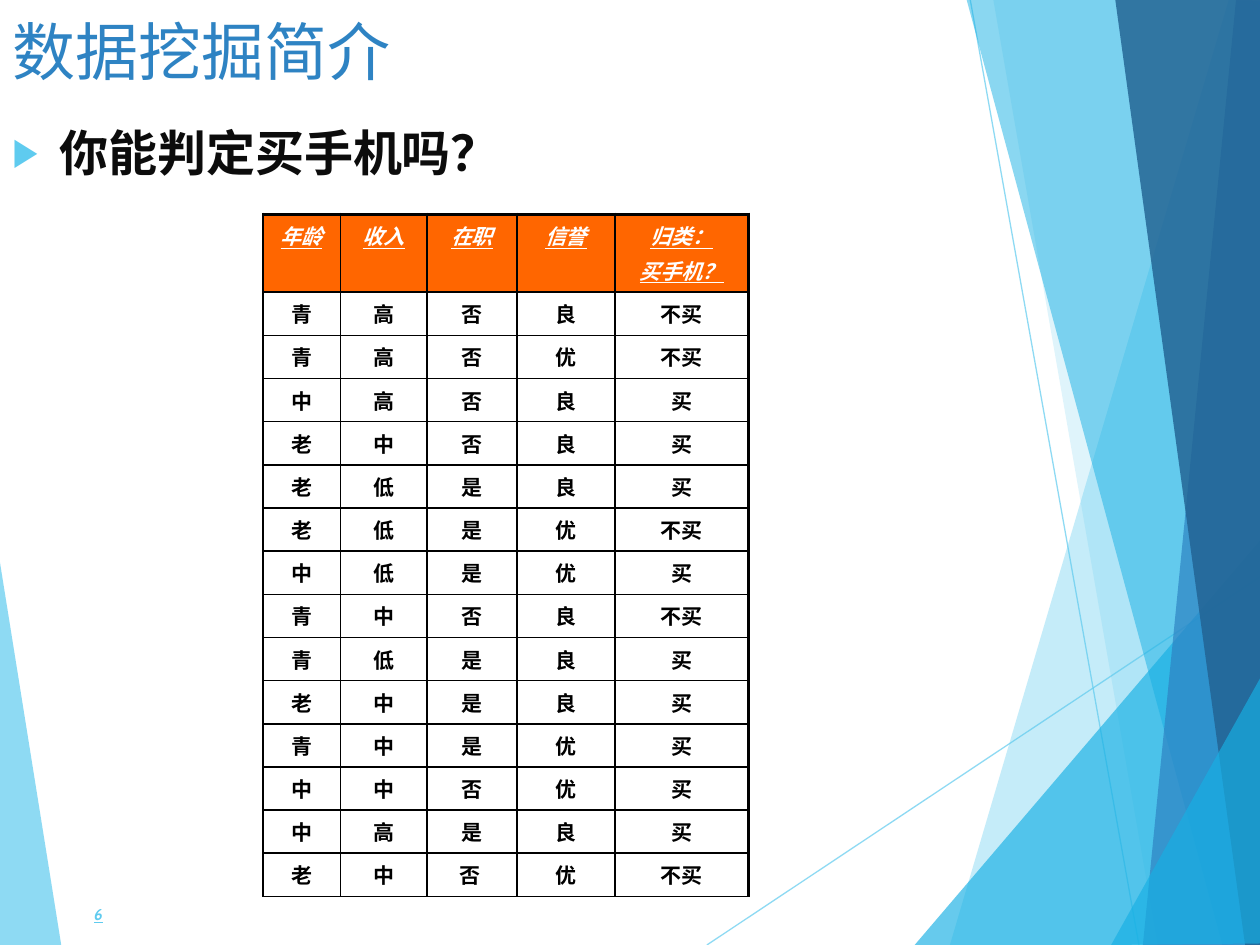
from dataclasses import dataclass
from typing import NamedTuple

from pptx import Presentation
from pptx.dml.color import RGBColor
from pptx.enum.shapes import MSO_CONNECTOR as Connector
from pptx.enum.text import MSO_ANCHOR as Anchor, PP_ALIGN as Align
from pptx.oxml.ns import qn
from pptx.oxml.xmlchemy import OxmlElement as Element
from pptx.util import Cm, Pt


@dataclass(frozen=True)
class Theme:
    sky: str = "5FCBEF"
    cyan: str = "17B0E4"
    blue: str = "2E83C3"
    navy: str = "226292"
    header: str = "FF6600"
    white: str = "FFFFFF"
    black: str = "000000"
    body: str = "0C0C0C"
    serif: str = "Times New Roman"
    sans: str = "Arial"
    number: str = "Cabin"
    title_size: float = 36
    body_size: float = 28
    table_size: float = 12
    number_size: float = 9
    thin: float = 1
    thick: float = 2.25


class Facet(NamedTuple):
    color: str
    opacity: int
    points: tuple


class Ray(NamedTuple):
    start: tuple
    end: tuple


class Box(NamedTuple):
    left: float
    top: float
    width: float
    height: float


class TextStyle(NamedTuple):
    font: str
    size: float
    color: str
    bold: bool = False
    emphasis: bool = False


THEME = Theme()
RIGHT, BOTTOM = 25.43, 19.05

LEFT_FACET = Facet(THEME.sky, 70, ((-0.03, 11.15), (1.24, 19.08), (-0.03, BOTTOM)))
RAYS = (Ray((14.25, BOTTOM), (RIGHT, 11.61)), Ray((19.56, 0), (22.96, BOTTOM)))
RIGHT_FACETS = (
    Facet(THEME.sky, 36, ((24.77, 0), (19.15, BOTTOM), (25.45, 19.08), (RIGHT, 0.03))),
    Facet(THEME.sky, 20, ((20.02, -0.03), (23.34, BOTTOM), (RIGHT, BOTTOM), (RIGHT, -0.03))),
    Facet(THEME.cyan, 66, ((18.44, BOTTOM), (25.4, 10.9), (RIGHT, BOTTOM))),
    Facet(THEME.cyan, 50, ((19.48, -0.03), (24.64, BOTTOM), (RIGHT, 19.02), (RIGHT, -0.03))),
    Facet(THEME.blue, 70, ((24.92, -0.03), (23.04, BOTTOM), (RIGHT, BOTTOM), (25.4, -0.03))),
    Facet(THEME.navy, 82, ((22.48, -0.03), (25.1, BOTTOM), (25.45, BOTTOM), (25.4, -0.03))),
    Facet(THEME.cyan, 66, ((22.4, BOTTOM), (25.45, 13.59), (25.45, 19.02))),
)

TITLE = TextStyle(THEME.serif, THEME.title_size, THEME.blue)
QUESTION = TextStyle(THEME.serif, THEME.body_size, THEME.body, True)
NUMBER = TextStyle(THEME.number, THEME.number_size, THEME.sky, True, True)
HEADING = TextStyle(THEME.serif, THEME.table_size, THEME.white, True, True)
VALUE = TextStyle(THEME.sans, THEME.table_size, THEME.black, True)

BULLET_INDENT = 0.95
COLUMN_WIDTHS = (1.56, 1.75, 1.81, 1.98, 2.69)
HEADER_HEIGHT, ROW_HEIGHT = 1.57, 0.87
HEADINGS = (("年龄",), ("收入",), ("在职",), ("信誉",), ("归类：", "买手机？"))
RECORDS = (
    ("青", "高", "否", "良", "不买"),
    ("青", "高", "否", "优", "不买"),
    ("中", "高", "否", "良", "买"),
    ("老", "中", "否", "良", "买"),
    ("老", "低", "是", "良", "买"),
    ("老", "低", "是", "优", "不买"),
    ("中", "低", "是", "优", "买"),
    ("青", "中", "否", "良", "不买"),
    ("青", "低", "是", "良", "买"),
    ("老", "中", "是", "良", "买"),
    ("青", "中", "是", "优", "买"),
    ("中", "中", "否", "优", "买"),
    ("中", "高", "是", "良", "买"),
    ("老", "中", "否 ", "优", "不买"),
)


def add_element(parent, tag: str, **attributes):
    element = Element(tag)
    for name, value in attributes.items():
        element.set(name, str(value))
    parent.append(element)
    return element


def set_opacity(shape, percent: int) -> None:
    color = shape.element.find(".//" + qn("a:srgbClr"))
    add_element(color, "a:alpha", val=percent * 1000)


def add_facet(slide, facet: Facet) -> None:
    points = [(Cm(x), Cm(y)) for x, y in facet.points]
    builder = slide.shapes.build_freeform(*points[0], scale=1.0)
    builder.add_line_segments(points[1:], close=True)
    shape = builder.convert_to_shape()
    shape.shadow.inherit = False
    shape.fill.solid()
    shape.fill.fore_color.rgb = RGBColor.from_string(facet.color)
    shape.line.fill.background()
    set_opacity(shape, facet.opacity)


def add_ray(slide, ray: Ray) -> None:
    ends = [Cm(value) for value in ray.start + ray.end]
    connector = slide.shapes.add_connector(Connector.STRAIGHT, *ends)
    connector.line.color.rgb = RGBColor.from_string(THEME.sky)
    connector.line.width = Pt(0.75)
    add_element(connector.element.spPr, "a:effectLst")
    set_opacity(connector, 70)


def add_run(paragraph, text: str, style: TextStyle) -> None:
    run = paragraph.add_run()
    run.text = text
    font = run.font
    font.name = style.font
    font.size = Pt(style.size)
    font.bold = style.bold
    font.italic = style.emphasis
    font.underline = style.emphasis
    font.color.rgb = RGBColor.from_string(style.color)


def add_text(slide, box: Box, text: str, style: TextStyle):
    shape = slide.shapes.add_textbox(*(Cm(value) for value in box))
    shape.text_frame.word_wrap = True
    add_run(shape.text_frame.paragraphs[0], text, style)
    return shape.text_frame


def add_bullet(paragraph) -> None:
    properties = paragraph._p.get_or_add_pPr()
    properties.set("marL", str(Cm(BULLET_INDENT)))
    properties.set("indent", str(Cm(-BULLET_INDENT)))
    color = add_element(properties, "a:buClr")
    add_element(color, "a:srgbClr", val=THEME.sky)
    add_element(properties, "a:buSzPct", val=80000)
    add_element(properties, "a:buFont", typeface=THEME.sans)
    add_element(properties, "a:buChar", char="▶")


def add_borders(cell, right: float, top: float) -> None:
    properties = cell._tc.get_or_add_tcPr()
    widths = {"a:lnL": THEME.thin, "a:lnR": right, "a:lnT": top, "a:lnB": THEME.thin}
    for tag, width in widths.items():
        line = add_element(properties, tag, w=Pt(width))
        fill = add_element(line, "a:solidFill")
        add_element(fill, "a:srgbClr", val=THEME.black)


def fill_cell(cell, lines: tuple, is_header: bool, is_last: bool) -> None:
    add_borders(cell, THEME.thick if is_last else THEME.thin,
                THEME.thick if is_header else THEME.thin)
    if is_header:
        cell.fill.solid()
        cell.fill.fore_color.rgb = RGBColor.from_string(THEME.header)
    else:
        cell.fill.background()
    frame = cell.text_frame
    for index, text in enumerate(lines):
        paragraph = frame.add_paragraph() if index else frame.paragraphs[0]
        paragraph.alignment = Align.CENTER
        if index:
            paragraph.space_before = Pt(THEME.table_size * 0.2)
        add_run(paragraph, text, HEADING if is_header else VALUE)


def add_purchase_table(slide) -> None:
    rows = [HEADINGS] + [[(value,) for value in record] for record in RECORDS]
    heights = [HEADER_HEIGHT] + [ROW_HEIGHT] * len(RECORDS)
    table = slide.shapes.add_table(
        len(rows), len(COLUMN_WIDTHS), Cm(5.3), Cm(4.32),
        Cm(sum(COLUMN_WIDTHS)), Cm(sum(heights))).table
    table.horz_banding = False
    for column, width in zip(table.columns, COLUMN_WIDTHS):
        column.width = Cm(width)
    for row_index, (row, height) in enumerate(zip(rows, heights)):
        table.rows[row_index].height = Cm(height)
        for column_index, lines in enumerate(row):
            fill_cell(table.cell(row_index, column_index), lines,
                      row_index == 0, column_index == len(row) - 1)


def main() -> None:
    presentation = Presentation()
    presentation.slide_width, presentation.slide_height = Cm(25.4), Cm(19.05)
    slide = presentation.slides.add_slide(presentation.slide_layouts[6])
    add_facet(slide, LEFT_FACET)
    for ray in RAYS:
        add_ray(slide, ray)
    for facet in RIGHT_FACETS:
        add_facet(slide, facet)
    question = add_text(slide, Box(0, 2.34, 22.02, 15.21), "你能判定买手机吗？", QUESTION)
    add_bullet(question.paragraphs[0])
    add_text(slide, Box(0, 0.13, 21.84, 1.35), "数据挖掘简介", TITLE)
    number = add_text(slide, Box(0, 18.06, 2.32, 0.74), "6", NUMBER)
    number.vertical_anchor = Anchor.MIDDLE
    number.paragraphs[0].alignment = Align.RIGHT
    add_purchase_table(slide)
    presentation.save("out.pptx")


if __name__ == "__main__":
    main()
